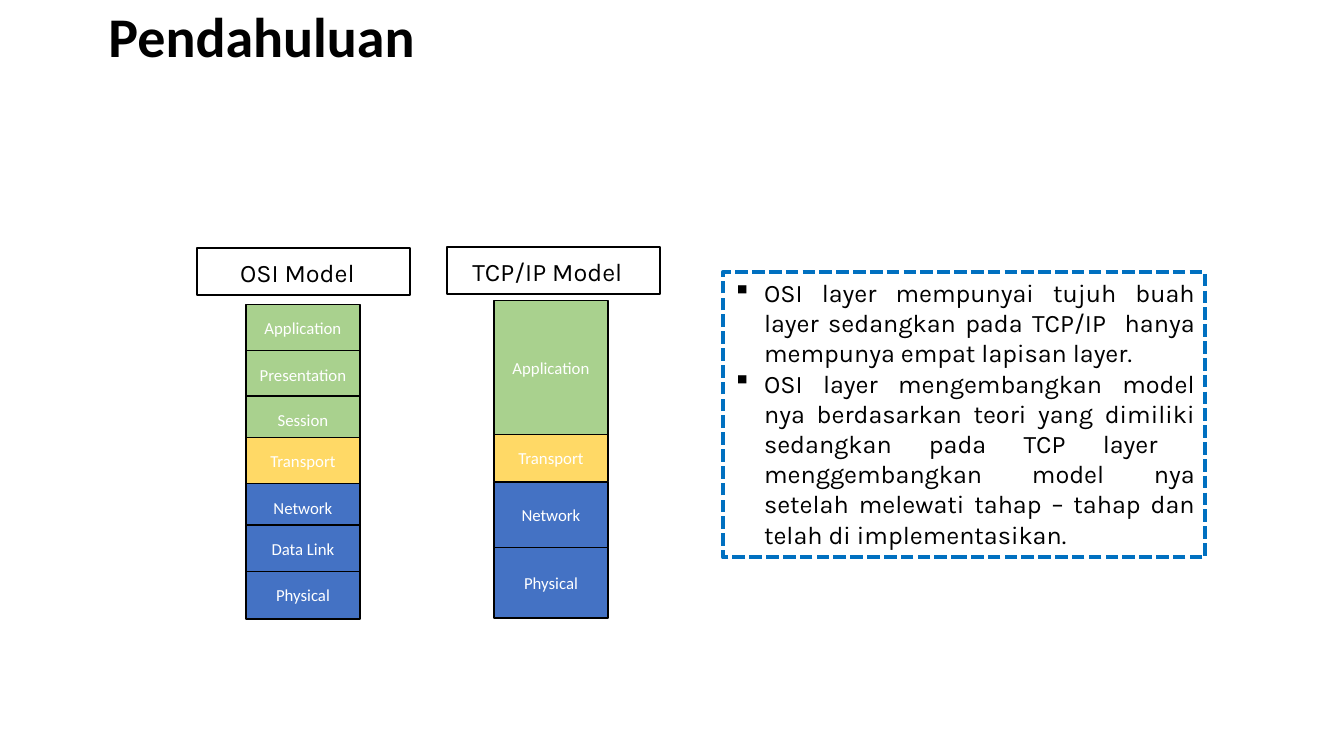
import pptx
import pptx.util
import pptx.dml.color
import pptx.enum.dml
import pptx.enum.shapes
import pptx.enum.text
from lxml import etree
from pptx.util import Inches, Pt

COLORS = {
    "black": "000000",
    "white": "FFFFFF",
    "green": "A9D18E",
    "yellow": "FFD966",
    "blue": "4472C4",
    "border": "0070C0",
}
ALIGN = pptx.enum.text.PP_ALIGN
ANCHOR = pptx.enum.text.MSO_ANCHOR
LAYER_WIDTH = 1.13
LAYER_HEIGHT = 0.47

OSI_LAYERS = [
    ("Application", 3.02, LAYER_HEIGHT, "green"),
    ("Presentation", 3.48, LAYER_HEIGHT, "green"),
    ("Session", 3.93, LAYER_HEIGHT, "green"),
    ("Transport", 4.34, LAYER_HEIGHT, "yellow"),
    ("Network", 4.8, LAYER_HEIGHT, "blue"),
    ("Data Link", 5.21, LAYER_HEIGHT, "blue"),
    ("Physical", 5.67, LAYER_HEIGHT, "blue"),
]
TCP_LAYERS = [
    ("Application", 2.98, 1.34, "green"),
    ("Transport", 4.31, LAYER_HEIGHT, "yellow"),
    ("Network", 4.78, 0.65, "blue"),
    ("Physical", 5.43, 0.7, "blue"),
]
NOTES = [
    "OSI layer mempunyai tujuh buah layer sedangkan pada TCP/IP  hanya "
    "mempunya empat lapisan layer.",
    "OSI layer mengembangkan model nya berdasarkan teori yang dimiliki "
    "sedangkan pada TCP layer  menggembangkan model nya setelah melewati "
    "tahap – tahap dan telah di implementasikan.",
]


def rgb(name):
    return pptx.dml.color.RGBColor.from_string(COLORS[name])


def style(p, text, size, font, color, align):
    p.text = text
    p.alignment = align
    p.font.size = Pt(size)
    p.font.name = font
    p.font.color.rgb = rgb(color)


def add_box(s, left, top, width, height, line, weight, fill=None):
    sp = s.shapes.add_shape(
        pptx.enum.shapes.MSO_SHAPE.RECTANGLE,
        Inches(left), Inches(top), Inches(width), Inches(height))
    sp.shadow.inherit = False
    if fill:
        sp.fill.solid()
        sp.fill.fore_color.rgb = rgb(fill)
    else:
        sp.fill.background()
    sp.line.color.rgb = rgb(line)
    sp.line.width = Pt(weight)
    sp.text_frame.word_wrap = True
    return sp


def add_title(s, text):
    sp = s.shapes.add_textbox(
        Inches(0.76), Inches(-0.03), Inches(3.67), Inches(0.77))
    tf = sp.text_frame
    tf.word_wrap = True
    p = tf.paragraphs[0]
    style(p, text, 40, "Calibri", "black", ALIGN.CENTER)
    p.font.bold = True


def add_stack(s, left, layers):
    for name, top, height, fill in layers:
        sp = add_box(s, left, top, LAYER_WIDTH, height, "black", 1, fill)
        tf = sp.text_frame
        tf.vertical_anchor = ANCHOR.MIDDLE
        style(tf.paragraphs[0], name, 12, "Calibri", "white", ALIGN.CENTER)


def add_header(s, left, top, text):
    sp = add_box(s, left, top, 2.12, 0.47, "black", 1.5)
    tf = sp.text_frame
    tf.vertical_anchor = ANCHOR.TOP
    tf.margin_right = Inches(0.22)
    p = tf.paragraphs[0]
    style(p, text, 18, "Karla", "black", ALIGN.CENTER)
    p.line_spacing = 1.15
    p.space_before = Pt(10)
    p.space_after = Pt(8)


def add_bullet(p, char):
    pPr = p._p.get_or_add_pPr()
    pPr.set("marL", str(Inches(0.31)))
    pPr.set("indent", str(Inches(-0.31)))
    bullet = etree.Element(pptx.oxml.ns.qn("a:buChar"), char=char)
    pPr.insert_element_before(bullet, "a:tabLst", "a:defRPr", "a:extLst")


def add_notes_box(s, notes):
    sp = add_box(s, 7.17, 2.7, 4.78, 2.83, "border", 3)
    sp.line.dash_style = pptx.enum.dml.MSO_LINE.SQUARE_DOT
    tf = sp.text_frame
    tf.vertical_anchor = ANCHOR.TOP
    for i, note in enumerate(notes):
        p = tf.add_paragraph() if i else tf.paragraphs[0]
        style(p, note, 18, "Karla", "black", ALIGN.JUSTIFY)
        add_bullet(p, "▪")


def main():
    prs = pptx.Presentation()
    prs.slide_width = Inches(13.33)
    prs.slide_height = Inches(7.5)
    s = prs.slides.add_slide(prs.slide_layouts[6])
    add_title(s, "Pendahuluan")
    add_stack(s, 2.44, OSI_LAYERS)
    add_stack(s, 4.9, TCP_LAYERS)
    add_header(s, 1.95, 2.46, "OSI Model")
    add_header(s, 4.43, 2.45, "TCP/IP Model")
    add_notes_box(s, NOTES)
    prs.save("out.pptx")


if __name__ == "__main__":
    main()
